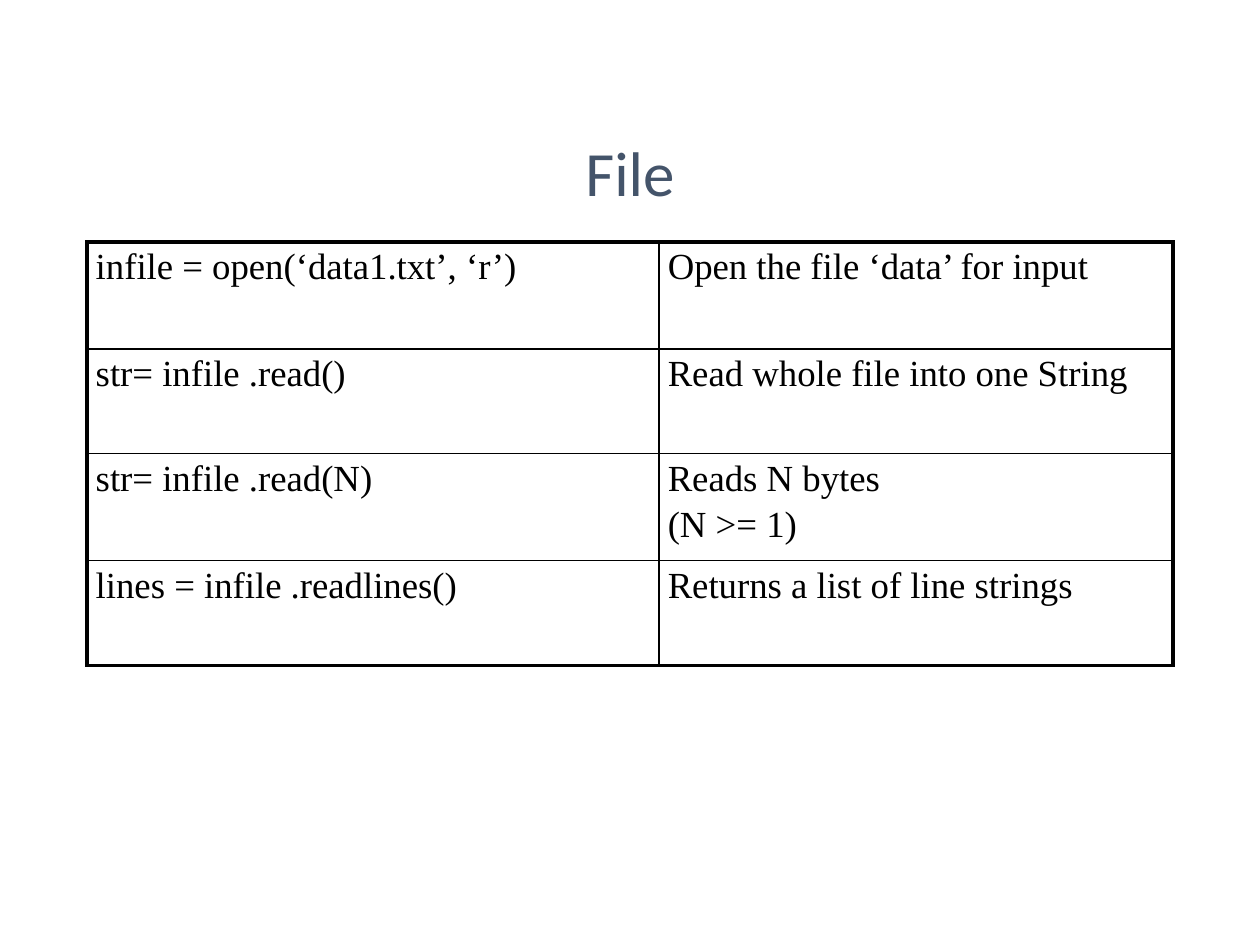
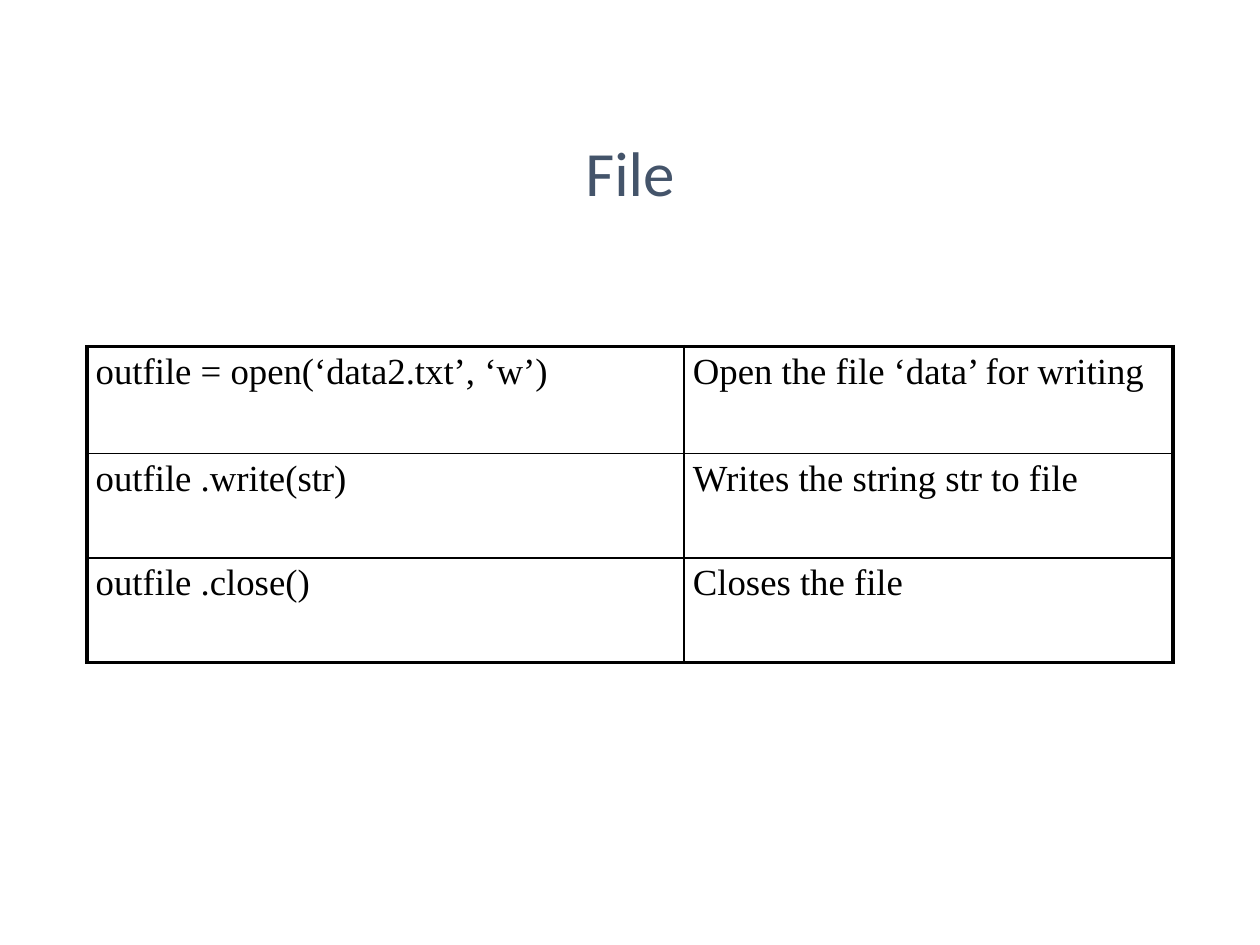
"""Build two slides that list file calls in bordered tables."""
from pptx import Presentation
from pptx.dml.color import RGBColor
from pptx.enum import text as et
from pptx.oxml import parse_xml
from pptx.oxml.ns import nsdecls
from pptx.util import Inches, Pt

INK, NAVY = "000000", "44546A"
LEFT, WIDTH = 0.69, 8.62
THIN, THICK = 1, 2.25

READ = [
    ("infile = open(‘data1.txt’, ‘r’)", "Open the file ‘data’ for input"),
    ("str= infile .read()", "Read whole file into one String"),
    ("str= infile .read(N)", "Reads N bytes\n(N >= 1)"),
    ("lines = infile .readlines()", "Returns a list of line strings"),
]
WRITE = [
    ("outfile = open(‘data2.txt’, ‘w’)", "Open the file ‘data’ for writing"),
    ("outfile .write(str)", "Writes the string str to file"),
    ("outfile .close()", "Closes the file"),
]


def style(para, face, size, color):
    """Format every run of a paragraph."""
    for run in para.runs:
        run.font.name = face
        run.font.size = Pt(size)
        run.font.color.rgb = RGBColor.from_string(color)


def add_title(slide, words):
    """Place and format the slide title."""
    title = slide.shapes.title
    title.left, title.top = Inches(LEFT), Inches(0.4)
    title.width, title.height = Inches(WIDTH), Inches(1.45)
    frame = title.text_frame
    frame.text = words
    frame.margin_top = Inches(0.6)
    frame.vertical_anchor = et.MSO_ANCHOR.MIDDLE
    para = frame.paragraphs[0]
    para.alignment = et.PP_ALIGN.CENTER
    para.line_spacing = 0.9
    style(para, "Calibri", 36, NAVY)


def add_edge(cell, side, width):
    """Draw one border of a cell."""
    cell._tc.get_or_add_tcPr().append(parse_xml(
        f'<a:ln{side} {nsdecls("a")} w="{Pt(width)}"><a:solidFill>'
        f'<a:srgbClr val="{INK}"/></a:solidFill></a:ln{side}>'))


def fill_cell(cell, words, outer):
    """Write a cell and draw its borders, thick on the outer sides."""
    cell.margin_left = cell.margin_right = Inches(0.07)
    cell.margin_top = cell.margin_bottom = Inches(0.04)
    cell.text_frame.text = words
    for num, para in enumerate(cell.text_frame.paragraphs):
        if num:
            para.space_before = Pt(3.3)
        style(para, "Times New Roman", 21, INK)
    for side in "LRTB":
        add_edge(cell, side, THICK if side in outer else THIN)
    cell.fill.background()


def add_grid(slide, top, split, highs, rows):
    """Add a table of two columns, the first one split inches wide."""
    frame = slide.shapes.add_table(
        len(rows), 2, Inches(LEFT), Inches(top), Inches(WIDTH), Inches(sum(highs)))
    table = frame.table
    table.first_row = table.horz_banding = False
    for col, wide in zip(table.columns, (split, WIDTH - split)):
        col.width = Inches(wide)
    for num, (row, high) in enumerate(zip(rows, highs)):
        table.rows[num].height = Inches(high)
        ends = ("T" if num == 0 else "") + ("B" if num == len(rows) - 1 else "")
        for col, side in enumerate("LR"):
            fill_cell(table.cell(num, col), row[col], side + ends)


def main():
    """Build and save the deck."""
    deck = Presentation()
    deck.slide_width, deck.slide_height = Inches(10), Inches(7.5)
    for top, split, highs, rows in (
            (1.92, 4.54, (0.85, 0.83, 0.85, 0.83), READ),
            (2.75, 4.74, (0.85, 0.83, 0.83), WRITE)):
        slide = deck.slides.add_slide(deck.slide_layouts[5])
        add_title(slide, "File")
        add_grid(slide, top, split, highs, rows)
    deck.save("out.pptx")


if __name__ == "__main__":
    main()
